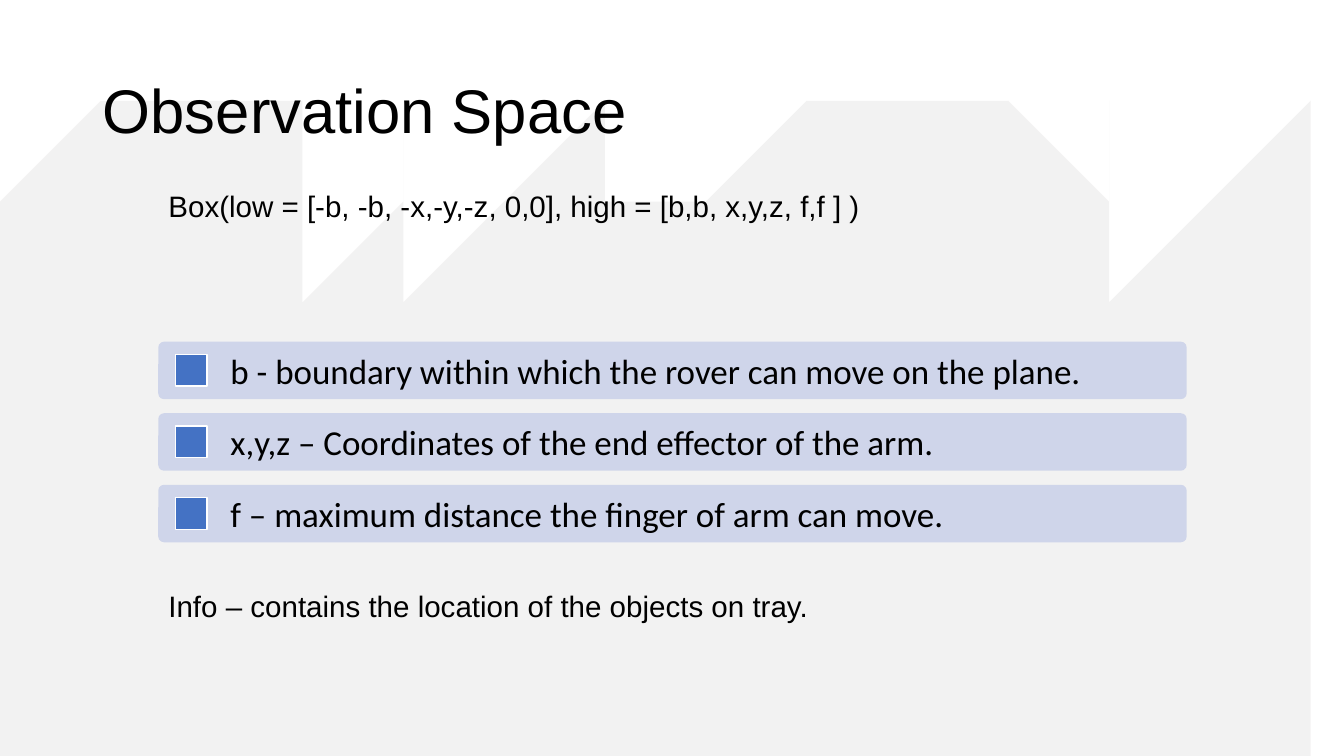
import pptx
import pptx.dml.color
import pptx.enum.shapes
import pptx.enum.text
import pptx.oxml.ns
import pptx.util
from lxml import etree

Inches, Pt = pptx.util.Inches, pptx.util.Pt
WIDTH, HEIGHT = 13.33, 7.5
BLACK, WHITE = "000000", "FFFFFF"

RIDGE = [
    (7.32, 1.58), (7.85, 1.08), (7.67, 1.47), (8.24, 0.82), (8.27, 1.18),
    (8.52, 0.85), (8.49, 1.16), (8.75, 1.2), (8.8, 1.37), (9.25, 1.4),
    (9.61, 1.14), (9.79, 1.19), (9.68, 1.59), (10.1, 1), (10.15, 1.37),
    (10.53, 1.53), (10.52, 2.32), (10.7, 2.21), (10.7, 1.95), (10.93, 1.79),
    (11.26, 1.28), (10.91, 2.5), (11.05, 2.12), (11.04, 2.5), (11.15, 2.52),
    (11.51, 2.19), (11.58, 2.35), (11.83, 1.95), (11.99, 2.07), (12.25, 1.7),
    (12.33, 1.81), (12.82, 0.83), (12.72, 1.91), (12.97, 1.69), (12.92, 2.21),
    (13.15, 1.89),
]
LEFT_SHIFT = (-7.15, 0.21)  # the left ridge is the right one, moved
VALLEY = [(6.3, 1.98), (6.63, 1.53), (6.53, 2.1), (7.01, 1.54), (6.96, 1.75)]
RIGHT_EDGE = [(13.26, 1.9), (13.2, 2.24), (WIDTH, 1.93), (WIDTH, HEIGHT), (0, HEIGHT)]


def rgb(hex_colour):
    return pptx.dml.color.RGBColor.from_string(hex_colour)


def place(shape, box):
    shape.left, shape.top, shape.width, shape.height = map(Inches, box)


def style(paragraph, size, font):
    paragraph.font.size = Pt(size)
    paragraph.font.name = font
    paragraph.font.color.rgb = rgb(BLACK)


def add_mountains(slide):
    shift_x, shift_y = LEFT_SHIFT
    left_ridge = [(x + shift_x, y + shift_y) for x, y in RIDGE]
    outline = [(0, 1.84)] + left_ridge + VALLEY + RIDGE + RIGHT_EDGE
    builder = slide.shapes.build_freeform(*outline[0], scale=Inches(1))
    builder.add_line_segments(outline[1:], close=True)
    mountains = builder.convert_to_shape()
    mountains.shadow.inherit = False
    mountains.line.fill.background()
    mountains.fill.solid()
    mountains.fill.fore_color.rgb = rgb("E7E6E6")
    colour = mountains._element.spPr.find(".//" + pptx.oxml.ns.qn("a:srgbClr"))
    etree.SubElement(colour, pptx.oxml.ns.qn("a:alpha"), val="50000")
    slide.shapes._spTree.insert(2, mountains._element)


def fill_placeholder(holder, box, text, size, anchor):
    place(holder, box)
    frame = holder.text_frame
    frame.text = text
    frame.word_wrap = True
    frame.auto_size = pptx.enum.text.MSO_AUTO_SIZE.NONE
    frame.vertical_anchor = anchor
    paragraph = frame.paragraphs[0]
    properties = paragraph._p.get_or_add_pPr()
    properties.set("marL", "0")
    properties.set("indent", "0")
    etree.SubElement(properties, pptx.oxml.ns.qn("a:buNone"))
    paragraph.alignment = pptx.enum.text.PP_ALIGN.LEFT
    paragraph.line_spacing = 0.9
    paragraph.space_before = Pt(0)
    style(paragraph, size, "Arial")


def add_block(slide, kind, box, colour):
    block = slide.shapes.add_shape(kind, *map(Inches, box))
    block.shadow.inherit = False
    block.fill.solid()
    block.fill.fore_color.rgb = rgb(colour)
    block.line.fill.background()
    return block


def add_definition(slide, box, text):
    left, top, width, height = box
    kinds = pptx.enum.shapes.MSO_SHAPE
    bar = add_block(slide, kinds.ROUNDED_RECTANGLE, box, "CFD5EA")
    bar.adjustments[0] = 0.1
    side = 0.55 * height
    marker = add_block(slide, kinds.RECTANGLE,
                       (left + 0.3 * height, top + (height - side) / 2, side, side), "4472C4")
    marker.line.color.rgb = rgb(WHITE)
    marker.line.width = Pt(1)
    indent = 1.15 * height
    definition = slide.shapes.add_textbox(
        *map(Inches, (left + indent, top, width - indent, height)))
    frame = definition.text_frame
    frame.word_wrap = True
    frame.vertical_anchor = pptx.enum.text.MSO_ANCHOR.MIDDLE
    frame.margin_left = frame.margin_right = Inches(0.06)
    frame.margin_top = frame.margin_bottom = Inches(0.06)
    frame.text = text
    style(frame.paragraphs[0], 25, "Calibri")


def add_definitions(slide, box, definitions):
    left, top, width, height = box
    gap = 0.14
    row_height = (height - gap * (len(definitions) - 1)) / len(definitions)
    for row, text in enumerate(definitions):
        add_definition(slide, (left, top + row * (row_height + gap), width, row_height), text)


def main():
    deck = pptx.Presentation()
    deck.slide_width, deck.slide_height = Inches(WIDTH), Inches(HEIGHT)
    slide = deck.slides.add_slide(deck.slide_layouts[3])
    title, box_space, info = slide.placeholders
    anchors = pptx.enum.text.MSO_ANCHOR
    add_mountains(slide)
    fill_placeholder(title, (0.92, 0.4, 11.5, 1.45), "Observation Space", 44, anchors.MIDDLE)
    fill_placeholder(box_space, (1.57, 1.85, 10.2, 0.92),
                     "Box(low = [-b, -b, -x,-y,-z, 0,0], high = [b,b, x,y,z, f,f ] )",
                     21.1, anchors.TOP)
    add_definitions(slide, (1.57, 3.39, 10.2, 1.99), [
        "b - boundary within which the rover can move on the plane.",
        "x,y,z – Coordinates of the end effector of the arm.",
        "f – maximum distance the finger of arm can move.",
    ])
    fill_placeholder(info, (1.57, 5.82, 10.2, 0.92),
                     "Info – contains the location of the objects on tray.", 21.1, anchors.TOP)
    deck.save("out.pptx")


if __name__ == "__main__":
    main()
